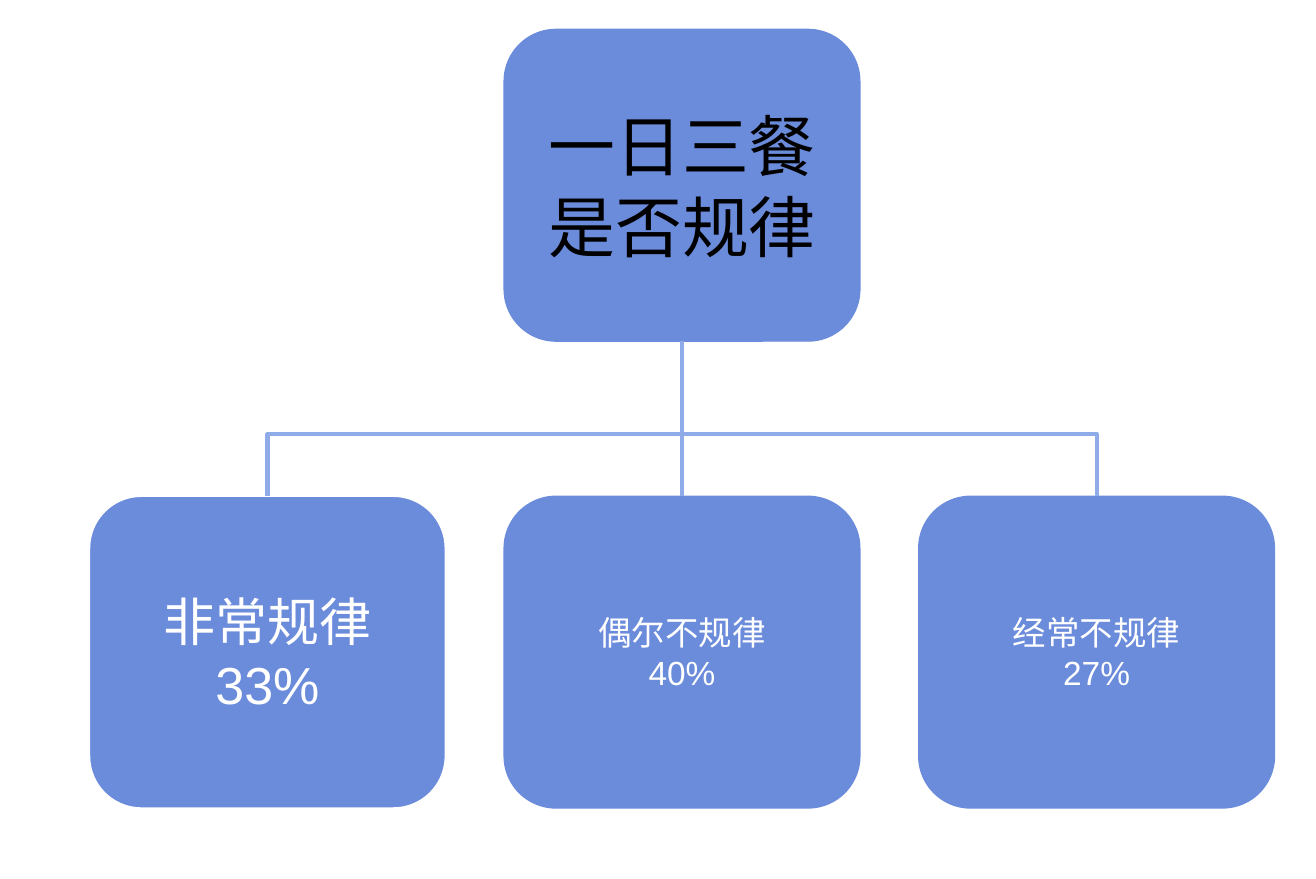
"""Build the slide that splits meal regularity into three answers."""
from lxml.etree import SubElement
from pptx import Presentation
from pptx.dml.color import RGBColor
from pptx.enum.shapes import MSO_CONNECTOR as CONN, MSO_SHAPE as SHAPE
from pptx.enum.text import MSO_ANCHOR as ANCHOR, PP_ALIGN as ALIGN
from pptx.oxml.ns import qn
from pptx.util import Inches, Pt

BLUE, LINK, WHITE, BLACK = "6B8BDB", "8FACE8", "FFFFFF", "000000"
CJK = "Noto Sans CJK SC"
W, H = 2.66, 2.33
PITCH = 3.1
MID_X = 5.1
ROOT_Y, ANSWER_Y = 0.22, 3.71


def rgb(color):
    return RGBColor.from_string(color)


def style_link(c):
    c.line.color.rgb = rgb(LINK)
    c.line.width = Pt(2.25)
    SubElement(c._element.spPr, qn("a:effectLst"))


prs = Presentation()
prs.slide_width, prs.slide_height = Inches(9.84), Inches(6.57)
s = prs.slides.add_slide(prs.slide_layouts[6])

nodes = [
    (0, ROOT_Y, BLUE, ["一日三餐是否规律"], 36, CJK, BLACK),
    (-1, ANSWER_Y, WHITE, ["非常规律", "33%"], 28, "Arial", WHITE),
    (0, ANSWER_Y, BLUE, ["偶尔不规律", "40%"], 18, "Arial", WHITE),
    (1, ANSWER_Y, BLUE, ["经常不规律", "27%"], 18, "Arial", WHITE),
]
boxes = []
for column, y, outline, lines, size, font, color in nodes:
    x = MID_X + column * PITCH - W / 2
    sp = s.shapes.add_shape(SHAPE.ROUNDED_RECTANGLE, Inches(x), Inches(y), Inches(W), Inches(H))
    sp.shadow.inherit = False
    sp.fill.solid()
    sp.fill.fore_color.rgb = rgb(BLUE)
    sp.line.color.rgb = rgb(outline)
    sp.line.width = Pt(0.75)
    tf = sp.text_frame
    tf.word_wrap = True
    tf.vertical_anchor = ANCHOR.MIDDLE
    for i, line in enumerate(lines):
        p = tf.add_paragraph() if i else tf.paragraphs[0]
        p.alignment = ALIGN.CENTER
        r = p.add_run()
        r.text = line
        r.font.size = Pt(size)
        r.font.name = font
        r.font.color.rgb = rgb(color)
        SubElement(r._r.rPr, qn("a:ea"), typeface=CJK)
    boxes.append(sp)

root, _, middle, _ = boxes
c = s.shapes.add_connector(CONN.STRAIGHT, 0, 0, 0, 0)
c.begin_connect(root, 2)
c.end_connect(middle, 0)
style_link(c)

gap = ANSWER_Y - ROOT_Y - H
link_y = ANSWER_Y - gap / 2
for side, turn in ((-1, 90), (1, 270)):
    link_x = MID_X + side * PITCH / 2
    c = s.shapes.add_connector(
        CONN.ELBOW,
        Inches(link_x - side * gap / 2), Inches(link_y + PITCH / 2),
        Inches(link_x + side * gap / 2), Inches(link_y - PITCH / 2))
    c._element.spPr.xfrm.set("rot", str(turn * 60000))
    bend = c._element.spPr.find(qn("a:prstGeom")).find(qn("a:avLst"))
    SubElement(bend, qn("a:gd"), name="adj1", fmla="val 40000")
    style_link(c)

prs.save("out.pptx")
